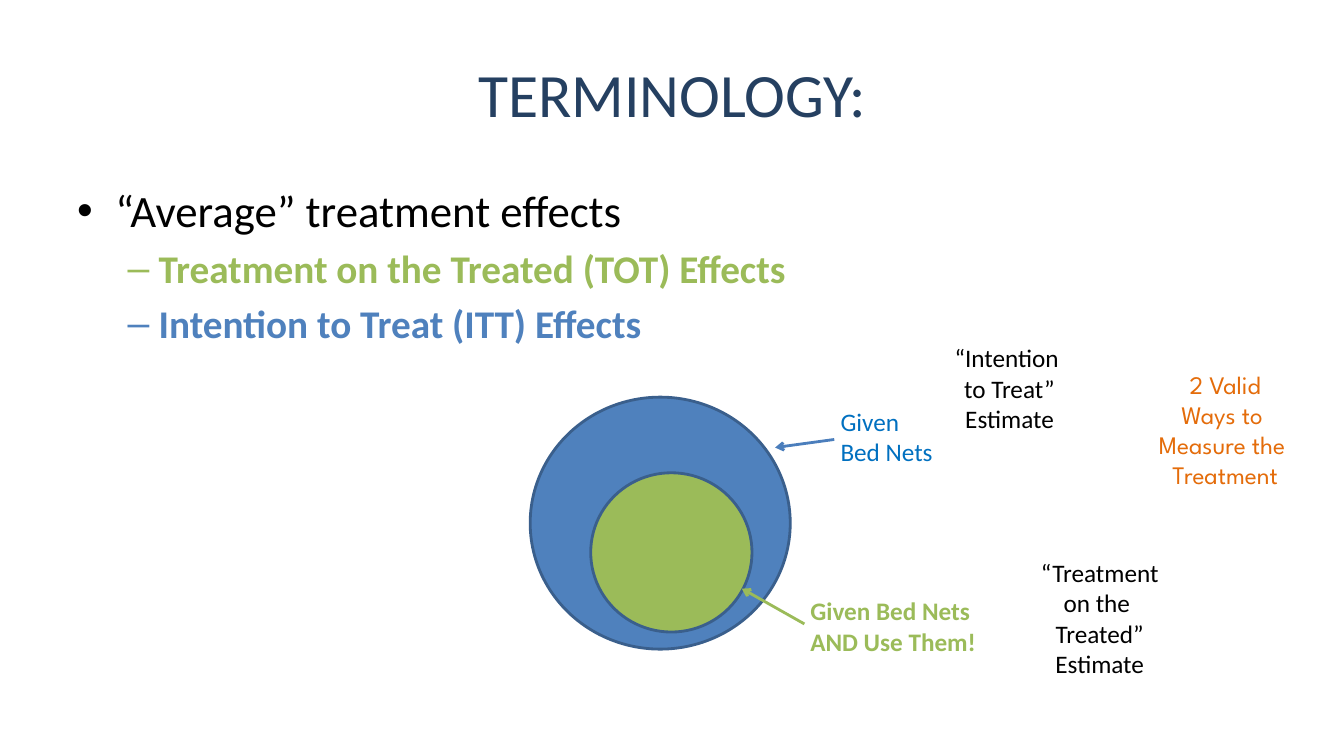
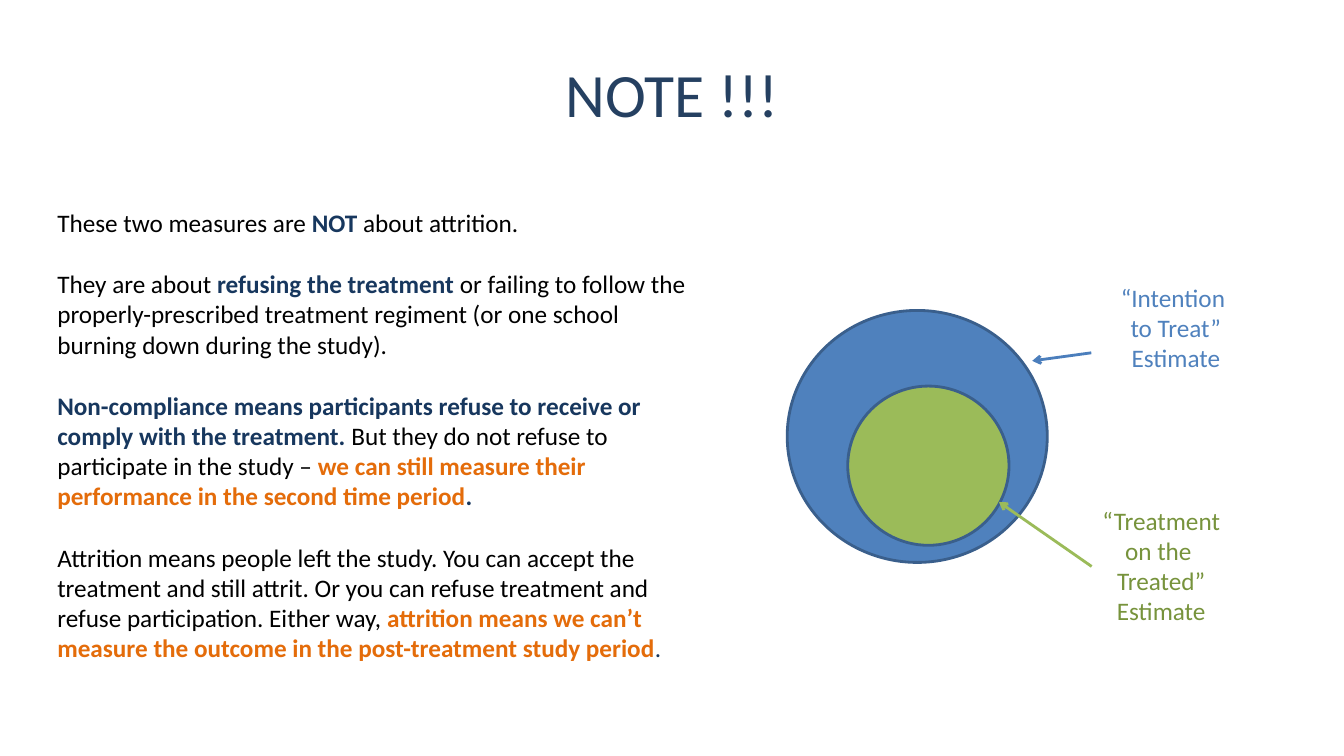
import lxml.etree
import pptx
import pptx.dml.color
import pptx.enum.shapes
import pptx.enum.text
import pptx.oxml.ns
import pptx.util

RGBColor = pptx.dml.color.RGBColor
NAVY = RGBColor(0x25, 0x40, 0x61)
DEEP_BLUE = RGBColor(0x17, 0x37, 0x5E)
BLUE = RGBColor(0x4F, 0x81, 0xBD)
ARROW_BLUE = RGBColor(0x4B, 0x7E, 0xBC)
BRIGHT_BLUE = RGBColor(0x00, 0x70, 0xC0)
OUTLINE = RGBColor(0x3A, 0x5F, 0x8C)
GREEN = RGBColor(0x9B, 0xBB, 0x59)
DARK_GREEN = RGBColor(0x77, 0x93, 0x3C)
ORANGE = RGBColor(0xE4, 0x6C, 0x0A)
BLACK = RGBColor(0, 0, 0)

COLUMNS, ROWS = 40, 22.5
SLIDE_WIDTH = pptx.util.Inches(13.33)
SLIDE_HEIGHT = pptx.util.Inches(7.5)
BODY_FONT = "Calibri"
ACCENT_FONT = "League Spartan"
LEFT = pptx.enum.text.PP_ALIGN.LEFT
CENTER = pptx.enum.text.PP_ALIGN.CENTER

ITT_LABEL = ["“Intention ", "to Treat”\nEstimate"]
TOT_LABEL = ["“Treatment", "on the ", "Treated”\nEstimate"]
WAYS_LABEL = ["2 Valid", "Ways to ", "Measure the ", "Treatment"]
BULLETS = [
    ("•", 0.38, 0.38, 32, ("“Average” treatment effects", BLACK, False)),
    ("–", 0.81, 0.31, 28, ("Treatment on the Treated (TOT) Effects", GREEN, True)),
    ("–", 0.81, 0.31, 28, ("Intention to Treat (ITT) Effects", BLUE, True)),
]
NOTES = [
    ["These two measures are ", ("NOT", DEEP_BLUE, True), " about attrition."],
    ["They are about ", ("refusing the treatment ", DEEP_BLUE, True),
     "or failing to follow the properly-prescribed treatment regiment "
     "(or one school burning down during the study)."],
    [("Non-compliance means participants refuse to receive or comply with the treatment. ",
      DEEP_BLUE, True),
     "But they do not refuse to participate in the study – ",
     ("we can still measure their performance in the second time period", ORANGE, True),
     (".", DEEP_BLUE, True)],
    ["Attrition means people left the study. You can accept the treatment and still attrit. "
     "Or you can refuse treatment and refuse participation. Either way, ",
     ("attrition means we can’t measure the outcome in the post-treatment study period",
      ORANGE, True),
     (".", DEEP_BLUE, False)],
]


def grid(*cells):
    """Turn alternating column and row counts into slide lengths."""
    units = (SLIDE_WIDTH / COLUMNS, SLIDE_HEIGHT / ROWS)
    return [round(cell * units[index % 2]) for index, cell in enumerate(cells)]


def write_para(para, spans, size=18, color=BLACK, bold=False, font=BODY_FONT,
               align=LEFT, before=0):
    """Write plain or (text, colour, bold) spans into a paragraph."""
    para.alignment = align
    para.space_before = pptx.util.Pt(before)
    for span in spans:
        text, span_color, span_bold = (span, color, bold) if isinstance(span, str) else span
        for index, line in enumerate(text.split("\n")):
            if index:
                para.add_line_break()
            run = para.add_run()
            run.text = line
            run.font.name = font
            run.font.size = pptx.util.Pt(size)
            run.font.bold = span_bold
            run.font.color.rgb = span_color


def add_text(page, area, paras, wrap=False, gap=0, **style):
    """Add a text box whose paragraphs share one style."""
    frame = page.shapes.add_textbox(*grid(*area)).text_frame
    frame.word_wrap = wrap
    frame.auto_size = pptx.enum.text.MSO_AUTO_SIZE.SHAPE_TO_FIT_TEXT
    for index, para in enumerate(paras):
        target = frame.add_paragraph() if index else frame.paragraphs[0]
        spans = [para] if isinstance(para, str) else para
        write_para(target, spans, before=gap if index else 0, **style)


def add_bullets(page, area):
    """Add the two-level bullet list."""
    frame = page.shapes.add_textbox(*grid(*area)).text_frame
    frame.word_wrap = True
    for index, (mark, margin, hanging, size, span) in enumerate(BULLETS):
        para = frame.add_paragraph() if index else frame.paragraphs[0]
        write_para(para, [span], size=size, before=0.2 * size if index else 0)
        props = para._p.get_or_add_pPr()
        props.set("marL", str(pptx.util.Inches(margin)))
        props.set("indent", str(-pptx.util.Inches(hanging)))
        props.set("lvl", "1" if index else "0")
        font = lxml.etree.SubElement(props, pptx.oxml.ns.qn("a:buFont"))
        font.set("typeface", "Arial")
        bullet = lxml.etree.SubElement(props, pptx.oxml.ns.qn("a:buChar"))
        bullet.set("char", mark)


def add_circle(page, area, color):
    """Add a filled circle with the shared outline."""
    circle = page.shapes.add_shape(pptx.enum.shapes.MSO_SHAPE.OVAL, *grid(*area))
    circle.shadow.inherit = False
    circle.fill.solid()
    circle.fill.fore_color.rgb = color
    circle.line.color.rgb = OUTLINE
    circle.line.width = pptx.util.Pt(2)


def add_arrow(page, start, end, color):
    """Add a straight arrow from start to end."""
    arrow = page.shapes.add_connector(
        pptx.enum.shapes.MSO_CONNECTOR.STRAIGHT, *grid(*start, *end))
    arrow.line.color.rgb = color
    arrow.line.width = pptx.util.Pt(2)
    head = lxml.etree.SubElement(arrow.line._get_or_add_ln(), pptx.oxml.ns.qn("a:tailEnd"))
    head.set("type", "arrow")
    lxml.etree.SubElement(arrow._element.spPr, pptx.oxml.ns.qn("a:effectLst"))


def add_nested_circles(page, left, top, tot_start):
    """Add the treated-within-intended diagram and its two arrows."""
    def shift(column, row):
        """Place a point relative to the diagram."""
        return left + column, top + row

    add_circle(page, (left, top, 7.74, 7.5), BLUE)
    add_circle(page, (*shift(1.8, 2.25), 4.8, 4.74), GREEN)
    add_arrow(page, shift(9.05, 1.26), shift(7.29, 1.5), ARROW_BLUE)
    add_arrow(page, shift(*tot_start), shift(6.3, 5.7), GREEN)


def add_page(deck, title):
    """Add a title-only slide with the shared title style."""
    page = deck.slides.add_slide(deck.slide_layouts[5])
    box = page.shapes.title
    box.left, box.top, box.width, box.height = grid(2, 0.9, 36, 3.75)
    box.text_frame.vertical_anchor = pptx.enum.text.MSO_ANCHOR.MIDDLE
    write_para(box.text_frame.paragraphs[0], [title], size=44, color=NAVY, align=CENTER)
    return page


def add_estimates(page, itt_corner, tot_corner, itt_color, tot_color):
    """Add the labels of the two estimates."""
    add_text(page, (*tot_corner, 4.14, 3.93), TOT_LABEL, color=tot_color, align=CENTER)
    add_text(page, (*itt_corner, 3.93, 3.03), ITT_LABEL, color=itt_color, align=CENTER)


def add_terminology(deck):
    """Build the slide that names the two effects."""
    page = add_page(deck, "TERMINOLOGY:")
    add_bullets(page, (2, 5.3, 36, 14.85))
    add_nested_circles(page, 15.78, 11.82, (8.16, 6.75))
    add_text(page, (24.72, 11.94, 3.39, 2.13), ["Given \nBed Nets"], color=BRIGHT_BLUE)
    add_text(page, (23.82, 17.58, 5.58, 2.13), ["Given Bed Nets \nAND Use Them!"],
             color=GREEN, bold=True)
    add_estimates(page, (28.08, 10.05), (30.66, 16.44), BLACK, BLACK)
    add_text(page, (33.75, 10.83, 5.43, 3.93), WAYS_LABEL, color=ORANGE,
             font=ACCENT_FONT, align=CENTER)


def add_note(deck):
    """Build the slide that separates non-compliance from attrition."""
    page = add_page(deck, "NOTE !!!")
    add_nested_circles(page, 23.43, 9.24, (9.06, 7.62))
    add_estimates(page, (33.03, 8.25), (32.49, 14.88), BLUE, DARK_GREEN)
    add_text(page, (1.41, 6.03, 19.65, 13.92), NOTES, wrap=True, gap=22)


def main():
    """Build and save the deck."""
    deck = pptx.Presentation()
    deck.slide_width, deck.slide_height = SLIDE_WIDTH, SLIDE_HEIGHT
    add_terminology(deck)
    add_note(deck)
    deck.save("out.pptx")


if __name__ == "__main__":
    main()
